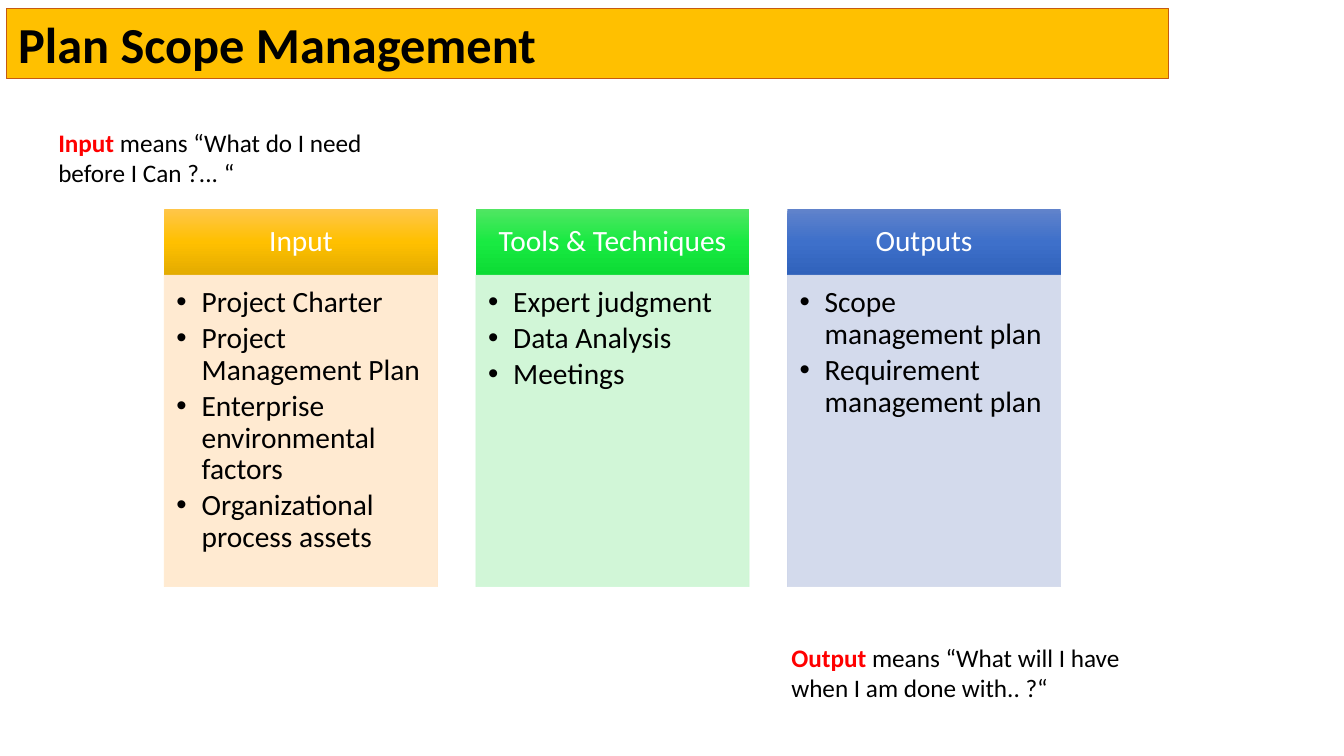
from copy import deepcopy
from lxml.etree import SubElement as Sub
from pptx import Presentation
from pptx.dml.color import RGBColor as RGB
from pptx.enum.shapes import MSO_SHAPE as Shape
from pptx.enum.text import MSO_ANCHOR as Anchor, MSO_AUTO_SIZE as Auto, PP_ALIGN as Align
from pptx.oxml.ns import qn
from pptx.util import Inches, Pt


def paint(part, color, alpha=None):
    """Give a fill one solid colour, with optional opacity in percent."""
    part.solid()
    part.fore_color.rgb = RGB.from_string(color)
    if alpha:
        for tag in part._xPr.iter(qn("a:srgbClr")):
            if len(tag) == 0:
                Sub(tag, qn("a:alpha"), val=str(alpha * 1000))


def write(shape, paras, size=18, align=Align.LEFT, anchor=Anchor.TOP,
          inset=(0.1, 0.05, 0.1, 0.05), line=None, after=0, bullet=False):
    """Fill a shape with paragraphs, each a list of (text, colour, bold)."""
    frame = shape.text_frame
    frame.word_wrap, frame.auto_size = True, Auto.NONE
    frame.vertical_anchor = anchor
    (frame.margin_left, frame.margin_top,
     frame.margin_right, frame.margin_bottom) = map(Inches, inset)
    for i, runs in enumerate(paras):
        para = frame.add_paragraph() if i else frame.paragraphs[0]
        para.alignment, para.line_spacing = align, line
        para.space_before, para.space_after = Pt(0), Pt(after)
        if bullet:
            props = para._p.get_or_add_pPr()
            props.set("marL", str(Inches(0.25)))
            props.set("indent", str(-Inches(0.25)))
            Sub(props, qn("a:buFont"), typeface="Arial")
            Sub(props, qn("a:buChar"), char="•")
        for text, color, bold in runs:
            run = para.add_run()
            run.text = text
            font = run.font
            font.name, font.size, font.bold = "Calibri", Pt(size), bold
            font.color.rgb = RGB.from_string(color)


deck = Presentation()
deck.slide_width, deck.slide_height = Inches(13.33), Inches(7.5)
slide = deck.slides.add_slide(deck.slide_layouts[5])
shapes = slide.shapes

# Title bar
title = shapes.title
title.left, title.top = Inches(0.06), Inches(0.08)
title.width, title.height = Inches(11.53), Inches(0.7)
paint(title.fill, "FFC000")
paint(title.line.fill, "C55A11")
title.line.width = Pt(0.75)
write(title, [[("Plan Scope Management", "000000", True)]], size=36,
      inset=(0.12, 0.05, 0.1, 0.05))

# Three columns: heading, gradient, body colour, items
cols = [
    ("Input", ("FFC64B", "FFC000", "E3AB00"), "FFE8CC",
     ["Project Charter", "Project Management Plan",
      "Enterprise environmental factors", "Organizational process assets"]),
    ("Tools & Techniques", ("51E663", "19EA42", "0CDB34"), "CCF6D3",
     ["Expert judgment", "Data Analysis", "Meetings"]),
    ("Outputs", ("6183CB", "3E70CA", "3062BB"), "CFD6EA",
     ["Scope management plan", "Requirement management plan"]),
]
left, step, width = 1.63, 3.09, 2.71
for i, (name, shades, tint, items) in enumerate(cols):
    x = Inches(left + i * step)

    # Heading with a three-stop gradient, top to bottom
    head = shapes.add_shape(Shape.RECTANGLE, x, Inches(2.07), Inches(width), Inches(0.66))
    head.shadow.inherit = False
    head.line.fill.background()
    head.fill.gradient()
    head.fill.gradient_angle = 270
    stops = head._element.spPr.find(".//" + qn("a:gsLst"))
    stops.insert(1, deepcopy(stops[0]))
    for stop, spot, shade in zip(head.fill.gradient_stops, (0, 0.5, 1), shades):
        stop.position = spot
        stop.color.rgb = RGB.from_string(shade)
    write(head, [[(name, "FFFFFF", False)]], size=21, align=Align.CENTER,
          anchor=Anchor.MIDDLE, inset=(0.16, 0.09, 0.16, 0.09), line=0.9)

    # Body with bullets
    body = shapes.add_shape(Shape.RECTANGLE, x, Inches(2.73), Inches(width), Inches(3.09))
    body.shadow.inherit = False
    paint(body.fill, tint, alpha=90)
    paint(body.line.fill, tint, alpha=90)
    body.line.width = Pt(0.5)
    write(body, [[(item, "000000", False)] for item in items], size=21,
          inset=(0.12, 0.12, 0.16, 0.18), line=0.9, after=3, bullet=True)

# Notes on the two terms
notes = [
    (0.48, 1.21, "Input", " means “What do I need before I Can ?... “"),
    (7.75, 6.32, "Output", " means “What will I have when I am done with.. ?“"),
]
for x, y, term, rest in notes:
    note = shapes.add_textbox(Inches(x), Inches(y), Inches(3.84), Inches(0.71))
    write(note, [[(term, "FF0000", True), (rest, "000000", False)]])

deck.save("out.pptx")
